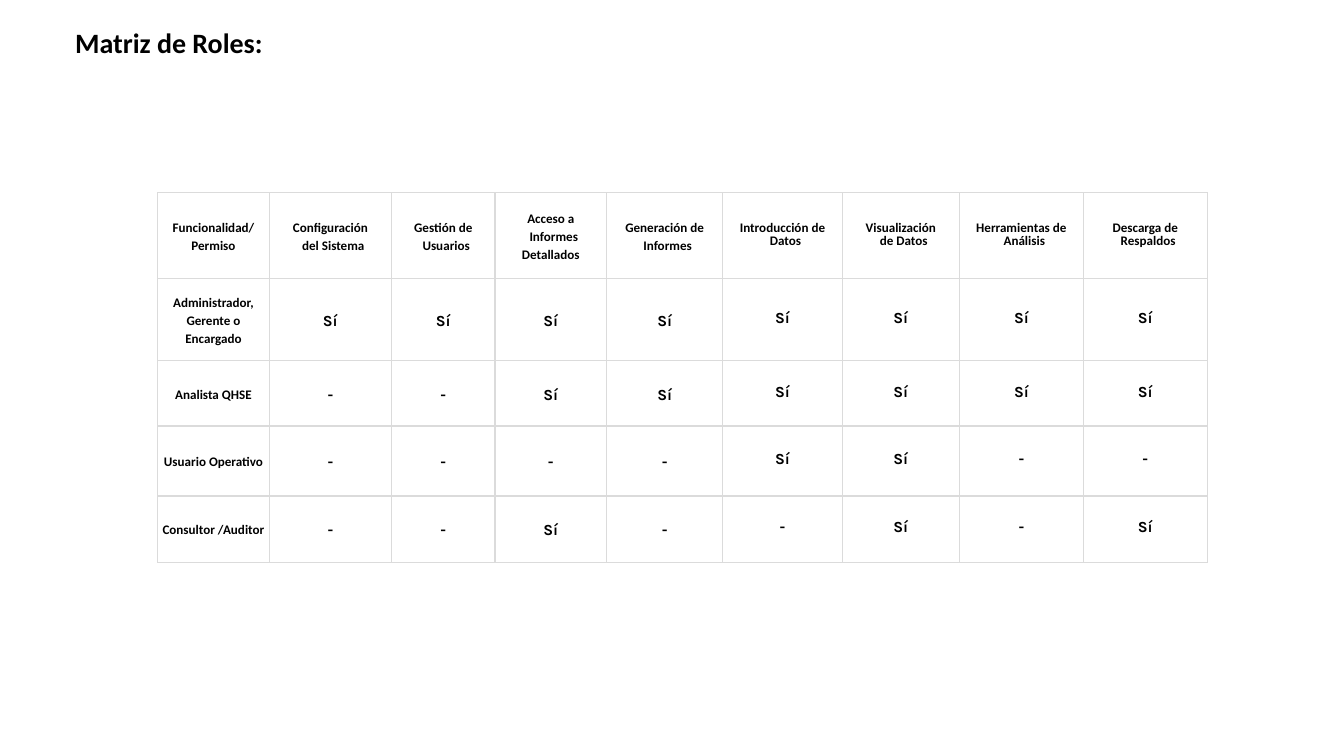
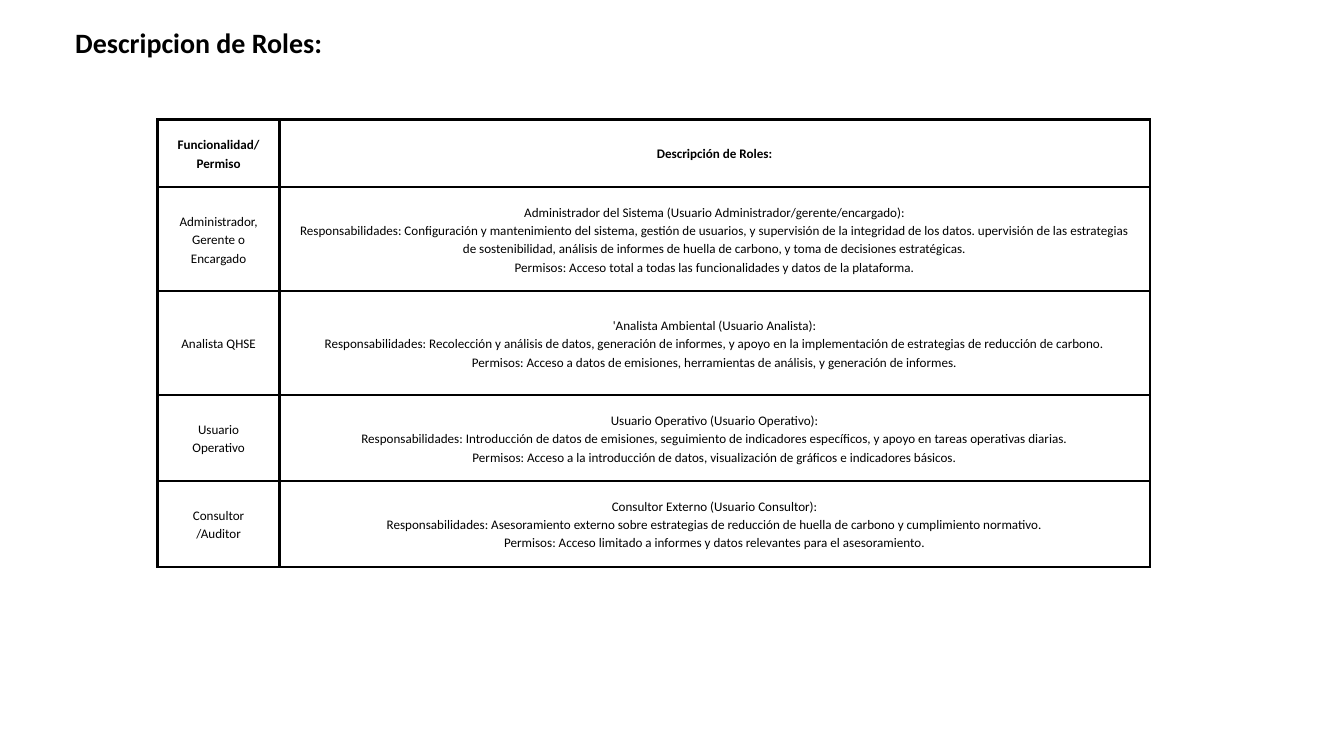
from dataclasses import dataclass
from typing import Callable

from lxml import etree
from pptx import Presentation
from pptx.dml.color import RGBColor
from pptx.enum.text import MSO_ANCHOR, MSO_AUTO_SIZE, PP_ALIGN
from pptx.oxml.ns import qn
from pptx.util import Pt

BLACK = RGBColor(0x00, 0x00, 0x00)
WHITE = RGBColor(0xFF, 0xFF, 0xFF)
GRAY = RGBColor(0xDB, 0xDB, 0xDB)
LEFT, CENTER = PP_ALIGN.LEFT, PP_ALIGN.CENTER
TOP, MIDDLE = MSO_ANCHOR.TOP, MSO_ANCHOR.MIDDLE
NO_AUTOSIZE = MSO_AUTO_SIZE.NONE
TITLE_ONLY = 5
TABLE_LEFT = 169
LOOSE = 1.4
TIGHT = 1.0


@dataclass(frozen=True)
class CellStyle:
    font: str = "Calibri"
    size: float = 14
    bold: bool = True
    leading: float = LOOSE
    indent: float = 0


@dataclass(frozen=True)
class RoleTable:
    title: str
    top: float
    cols: list[float]
    rows: list[float]
    margin: float
    border: RGBColor
    border_width: float
    cells: list[list[str]]
    style: Callable[[int, int], CellStyle]


def matrix_style(row: int, col: int) -> CellStyle:
    leading = LOOSE if col < 5 else TIGHT
    if row == 0:
        return CellStyle(leading=leading, indent=6.3)
    if col == 0:
        return CellStyle()
    return CellStyle(font="Karla", size=16.5, leading=leading)


def description_style(row: int, col: int) -> CellStyle:
    return CellStyle(bold=row == 0)


CORNER = "Funcionalidad/Permiso"
ROLES = ["Administrador, Gerente o Encargado", "Analista QHSE",
         "Usuario Operativo", "Consultor /Auditor"]
FUNCTIONS = [
    "Configuración\ndel Sistema", "Gestión de\nUsuarios",
    "Acceso a\nInformes Detallados", "Generación de\nInformes",
    "Introducción de\nDatos", "Visualización\nde Datos",
    "Herramientas de\nAnálisis", "Descarga de\nRespaldos",
]
PERMISSIONS = [
    ["Sí", "Sí", "Sí", "Sí", "Sí", "Sí", "Sí", "Sí"],
    ["-", "-", "Sí", "Sí", "Sí", "Sí", "Sí", "Sí"],
    ["-", "-", "-", "-", "Sí", "Sí", "-", "-"],
    ["-", "-", "Sí", "-", "-", "Sí", "-", "Sí"],
]
DESCRIPTIONS = [
    "Administrador del Sistema (Usuario Administrador/gerente/encargado):\n"
    "Responsabilidades: Configuración y mantenimiento del sistema, gestión de usuarios, "
    "y supervisión de la integridad de los datos. upervisión de las estrategias de "
    "sostenibilidad, análisis de informes de huella de carbono, y toma de decisiones "
    "estratégicas.\n"
    "Permisos: Acceso total a todas las funcionalidades y datos de la plataforma.",
    "'Analista Ambiental (Usuario Analista):\n"
    "Responsabilidades: Recolección y análisis de datos, generación de informes, y apoyo "
    "en la implementación de estrategias de reducción de carbono.\n"
    "Permisos: Acceso a datos de emisiones, herramientas de análisis, y generación de "
    "informes.",
    "Usuario Operativo (Usuario Operativo):\n"
    "Responsabilidades: Introducción de datos de emisiones, seguimiento de indicadores "
    "específicos, y apoyo en tareas operativas diarias.\n"
    "Permisos: Acceso a la introducción de datos, visualización de gráficos e "
    "indicadores básicos.",
    "Consultor Externo (Usuario Consultor):\n"
    "Responsabilidades: Asesoramiento externo sobre estrategias de reducción de huella "
    "de carbono y cumplimiento normativo.\n"
    "Permisos: Acceso limitado a informes y datos relevantes para el asesoramiento.",
]

TABLES = [
    RoleTable(
        "Matriz de Roles:", 206.5,
        [119.5, 131, 111, 119.5, 124.5, 128, 125.5, 133, 132.5],
        [92, 88, 70, 75, 71], 5, GRAY, 1.5,
        [[CORNER, *FUNCTIONS]]
        + [[role, *marks] for role, marks in zip(ROLES, PERMISSIONS)],
        matrix_style),
    RoleTable(
        "Descripcion de Roles:", 128, [130.5, 932.5],
        [72.5, 111.5, 111.5, 92, 92], 15, BLACK, 3,
        [[CORNER, "Descripción de Roles:"]]
        + [list(pair) for pair in zip(ROLES, DESCRIPTIONS)],
        description_style),
]


def add_run(p, text: str, font: str, size: float, bold: bool) -> None:
    r = p.add_run()
    r.text = text
    r.font.name = font
    r.font.size = Pt(size)
    r.font.bold = bold
    r.font.color.rgb = BLACK


def add_title(s, text: str) -> None:
    sp = s.shapes.title
    sp.left, sp.top, sp.width, sp.height = Pt(80.5), Pt(33), Pt(1224), Pt(32.5)
    tf = sp.text_frame
    tf.margin_left = tf.margin_right = tf.margin_top = tf.margin_bottom = 0
    tf.vertical_anchor = TOP
    tf.auto_size = NO_AUTOSIZE
    tf.word_wrap = True
    p = tf.paragraphs[0]
    p.alignment = LEFT
    p.line_spacing = Pt(30)
    add_run(p, text, "Calibri", 30, True)


def set_borders(cell, color: RGBColor, width: float) -> None:
    tc_pr = cell._tc.get_or_add_tcPr()
    for side in ("a:lnL", "a:lnR", "a:lnT", "a:lnB"):
        ln = etree.SubElement(tc_pr, qn(side), w=str(Pt(width)))
        fill = etree.SubElement(ln, qn("a:solidFill"))
        etree.SubElement(fill, qn("a:srgbClr"), val=str(color))


def fill_cell(cell, text: str, style: CellStyle, t: RoleTable) -> None:
    set_borders(cell, t.border, t.border_width)
    cell.fill.solid()
    cell.fill.fore_color.rgb = WHITE
    cell.vertical_anchor = MIDDLE
    cell.margin_left = cell.margin_right = Pt(t.margin)
    cell.margin_top = cell.margin_bottom = Pt(t.margin)
    tf = cell.text_frame
    for i, line in enumerate(text.split("\n")):
        p = tf.add_paragraph() if i else tf.paragraphs[0]
        p.alignment = CENTER
        p.line_spacing = Pt(style.size * style.leading)
        if i and style.indent:
            p._p.get_or_add_pPr().set("indent", str(Pt(style.indent)))
        add_run(p, line, style.font, style.size, style.bold)


def add_role_table(s, t: RoleTable) -> None:
    table = s.shapes.add_table(
        len(t.rows), len(t.cols), Pt(TABLE_LEFT), Pt(t.top),
        Pt(sum(t.cols)), Pt(sum(t.rows))).table
    table.first_row = table.horz_banding = False
    for column, width in zip(table.columns, t.cols):
        column.width = Pt(width)
    for row, height in zip(table.rows, t.rows):
        row.height = Pt(height)
    for i, texts in enumerate(t.cells):
        for j, text in enumerate(texts):
            fill_cell(table.cell(i, j), text, t.style(i, j), t)


def main() -> None:
    prs = Presentation()
    prs.slide_width, prs.slide_height = Pt(1440), Pt(810)
    for t in TABLES:
        s = prs.slides.add_slide(prs.slide_layouts[TITLE_ONLY])
        add_role_table(s, t)
        add_title(s, t.title)
    prs.save("out.pptx")


if __name__ == "__main__":
    main()
